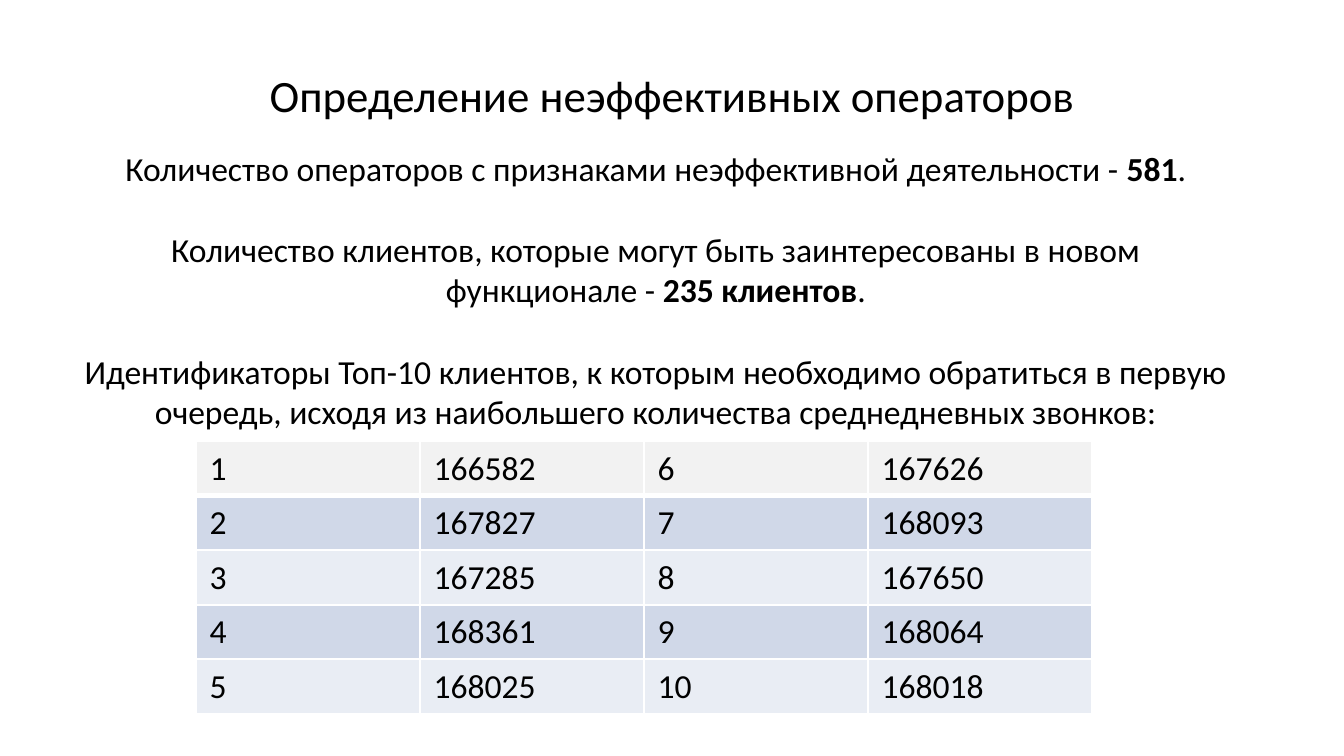
"""Build the slide on inefficient operators with its top-10 client table."""
from dataclasses import dataclass

from lxml import etree
from pptx import Presentation
from pptx.dml.color import RGBColor
from pptx.enum.text import MSO_ANCHOR, PP_ALIGN
from pptx.oxml.ns import qn
from pptx.util import Pt

CENTER = PP_ALIGN.CENTER
MIDDLE = MSO_ANCHOR.MIDDLE
FONT = "Calibri"
TITLE_ONLY = 5
COLORS = {
    "text": "000000",
    "border": "FFFFFF",
    "first": "F2F2F2",
    "dark": "D0D8E8",
    "light": "E9EDF4",
}


@dataclass
class Span:
    text: str
    bold: bool = False


@dataclass
class Box:
    left: float
    top: float
    width: float
    height: float

    def lengths(self) -> tuple:
        return Pt(self.left), Pt(self.top), Pt(self.width), Pt(self.height)


TITLE_BOX = Box(36, 16.56, 648, 67.68)
BODY_BOX = Box(36.72, 75.6, 629.28, 290.88)
TABLE_BOX = Box(105.12, 236.4, 480, 146)
STATEMENTS = [
    [
        Span("Количество операторов с признаками неэффективной деятельности - "),
        Span("581", True),
        Span("."),
    ],
    [
        Span("Количество клиентов, которые могут быть заинтересованы в новом функционале - "),
        Span("235 клиентов", True),
        Span("."),
    ],
    [
        Span("Идентификаторы Топ-10 клиентов, к которым необходимо обратиться в первую "
             "очередь, исходя из наибольшего количества среднедневных звонков:"),
    ],
]
CLIENT_IDS = [
    166582, 167827, 167285, 168361, 168025,
    167626, 168093, 167650, 168064, 168018,
]


def add_run(p, span: Span, size: float = 18) -> None:
    """Append one formatted run to a paragraph."""
    r = p.add_run()
    r.text = span.text
    r.font.name = FONT
    r.font.size = Pt(size)
    r.font.bold = span.bold
    r.font.color.rgb = RGBColor.from_string(COLORS["text"])


def add_title(s, text: str) -> None:
    """Place and fill the title placeholder."""
    sp = s.shapes.title
    sp.left, sp.top, sp.width, sp.height = TITLE_BOX.lengths()
    sp.text_frame.vertical_anchor = MIDDLE
    p = sp.text_frame.paragraphs[0]
    p.alignment = CENTER
    add_run(p, Span(text), 24)


def add_statements(s, statements: list[list[Span]]) -> None:
    """Add the centred statements, one paragraph each."""
    tf = s.shapes.add_textbox(*BODY_BOX.lengths()).text_frame
    tf.word_wrap = True
    for i, spans in enumerate(statements):
        p = tf.add_paragraph() if i else tf.paragraphs[0]
        p.alignment = CENTER
        p.space_before = Pt(22 if i else 0)
        for span in spans:
            add_run(p, span)


def set_borders(cell, top: float, bottom: float) -> None:
    """Give a cell solid borders, one point wide at the sides."""
    tc_pr = cell._tc.get_or_add_tcPr()
    for side, width in {"L": 1, "R": 1, "T": top, "B": bottom}.items():
        ln = etree.SubElement(tc_pr, qn(f"a:ln{side}"), w=str(Pt(width)))
        fill = etree.SubElement(ln, qn("a:solidFill"))
        etree.SubElement(fill, qn("a:srgbClr"), val=COLORS["border"])


def add_client_table(s, ids: list[int]) -> None:
    """List the numbered client identifiers in two halves side by side."""
    n = len(ids) // 2
    table = s.shapes.add_table(n, 4, *TABLE_BOX.lengths()).table
    for column in table.columns:
        column.width = Pt(TABLE_BOX.width / 4)
    for i in range(n):
        table.rows[i].height = Pt(TABLE_BOX.height / n)
        shade = "first" if i == 0 else "dark" if i % 2 else "light"
        values = (i + 1, ids[i], i + n + 1, ids[i + n])
        for j, value in enumerate(values):
            cell = table.cell(i, j)
            set_borders(cell, top=3 if i == 1 else 1, bottom=3 if i == 0 else 1)
            cell.fill.solid()
            cell.fill.fore_color.rgb = RGBColor.from_string(COLORS[shade])
            add_run(cell.text_frame.paragraphs[0], Span(str(value)))


def main() -> None:
    """Create and save the presentation."""
    prs = Presentation()
    prs.slide_width, prs.slide_height = Pt(720), Pt(405)
    s = prs.slides.add_slide(prs.slide_layouts[TITLE_ONLY])
    add_title(s, "Определение неэффективных операторов")
    add_statements(s, STATEMENTS)
    add_client_table(s, CLIENT_IDS)
    prs.save("out.pptx")


if __name__ == "__main__":
    main()
